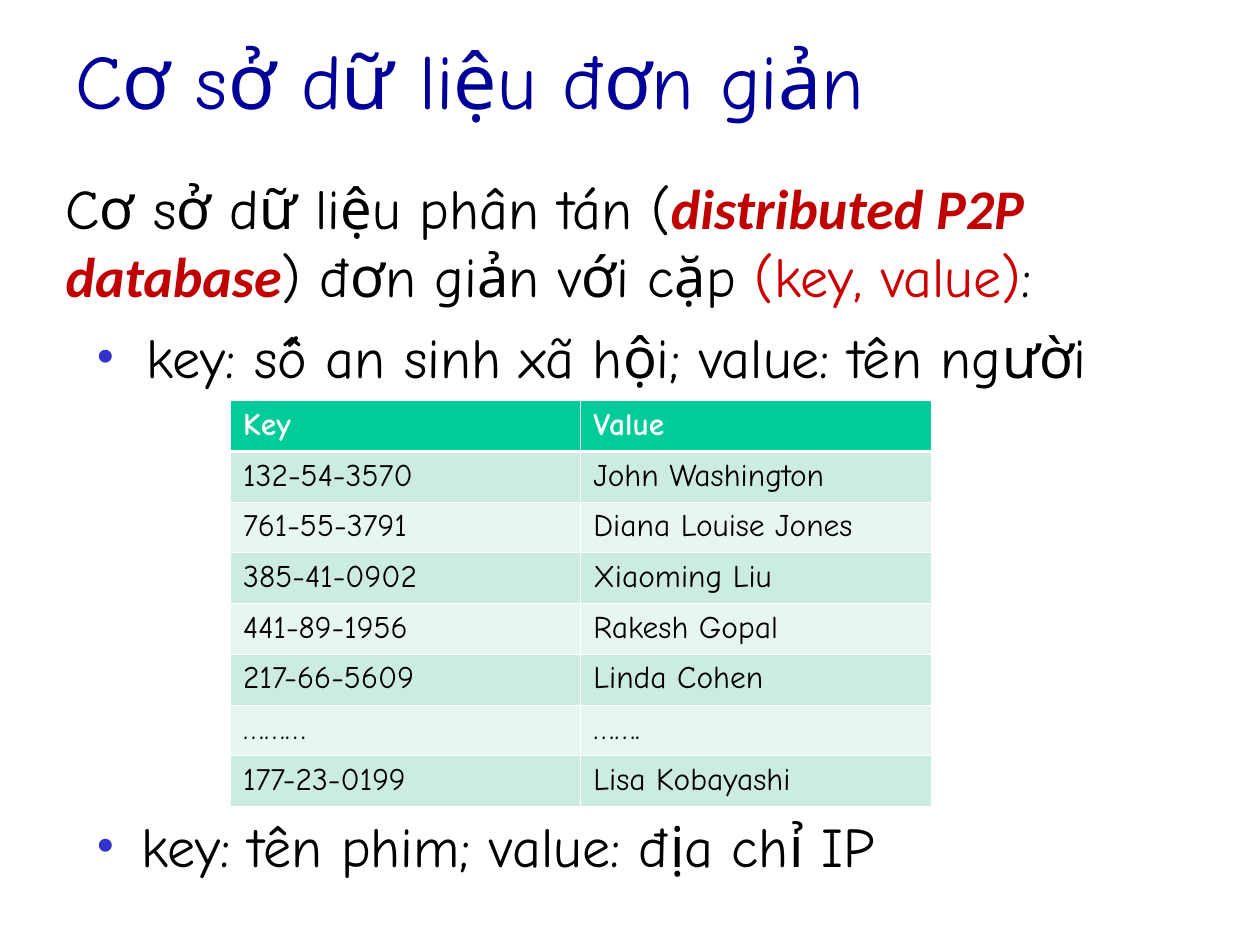
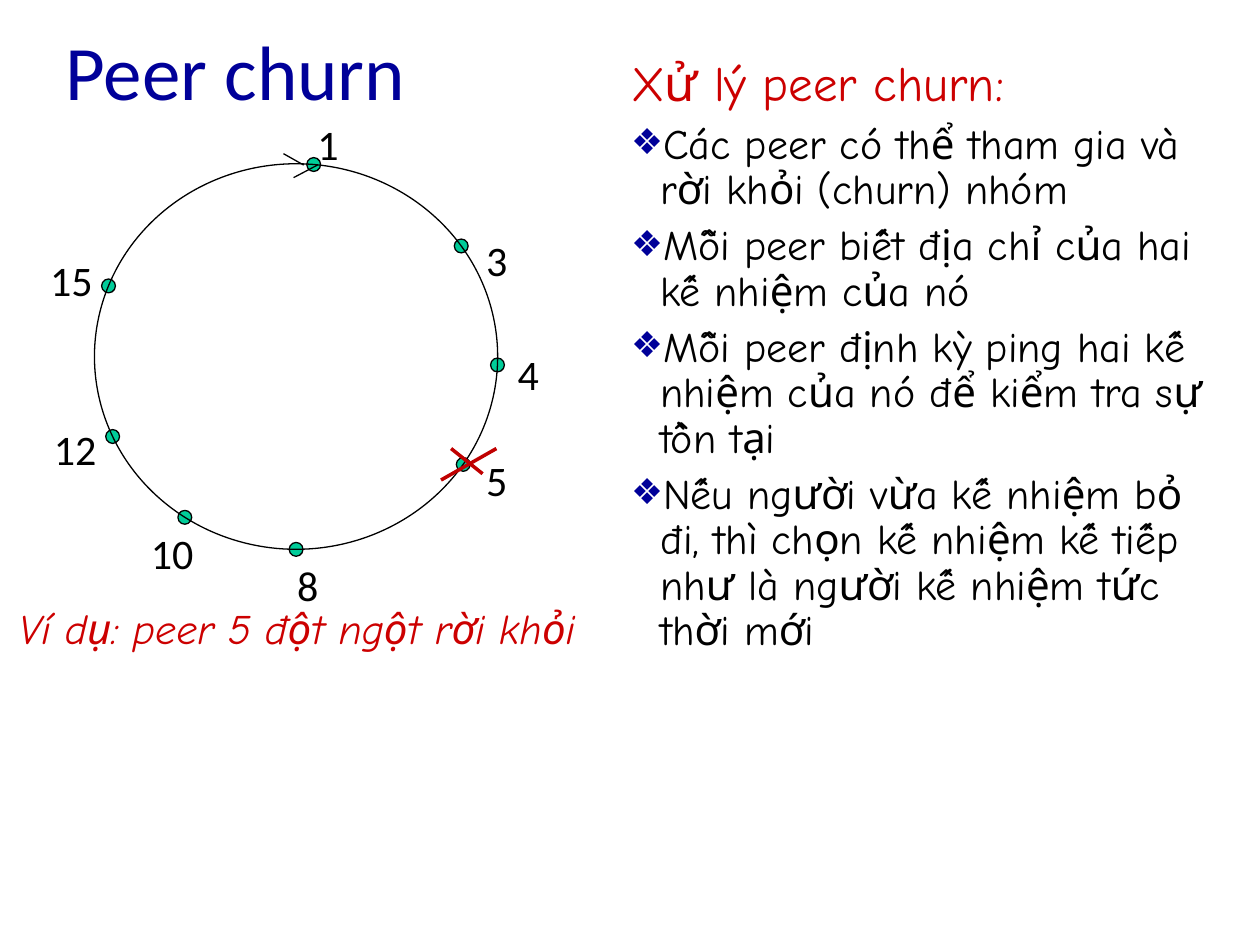
from math import cos, radians, sin

from lxml.etree import SubElement
from pptx import Presentation
from pptx.dml.color import RGBColor
from pptx.enum.shapes import MSO_CONNECTOR, MSO_SHAPE
from pptx.enum.text import MSO_ANCHOR, MSO_AUTO_SIZE, PP_ALIGN
from pptx.oxml.ns import qn
from pptx.util import Pt

COLORS = {
    "title": "000099",
    "text": "000000",
    "white": "FFFFFF",
    "accent": "CC0000",
    "cross": "C00000",
    "bullet": "3333CC",
    "green": "00CC99",
    "odd": "CBECDE",
    "even": "E7F6EF",
}
COLORS = {name: RGBColor.from_string(value) for name, value in COLORS.items()}
COMIC, PLAIN = "Comic Neue", "Calibri"

deck = Presentation()
deck.slide_width, deck.slide_height = Pt(720), Pt(540)
column, row = deck.slide_width / 100, deck.slide_height / 75


def place(shape, left, top, width, height, anchor=MSO_ANCHOR.TOP):
    shape.left, shape.top = round(left * column), round(top * row)
    shape.width, shape.height = round(width * column), round(height * row)
    frame = shape.text_frame
    frame.word_wrap, frame.auto_size = True, MSO_AUTO_SIZE.NONE
    frame.vertical_anchor = anchor
    return frame


def write(para, spans, size, bullet=None, bullet_color=None, margin=0, hang=0):
    properties = para._p.get_or_add_pPr()
    properties.set("marL", str(round(margin * column)))
    properties.set("indent", str(round(-hang * column)))
    if bullet:
        color = SubElement(properties, qn("a:buClr"))
        SubElement(color, qn("a:srgbClr"), val=str(COLORS[bullet_color]))
        SubElement(properties, qn("a:buSzPct"), val="85000")
        SubElement(properties, qn("a:buChar"), char=bullet)
    else:
        SubElement(properties, qn("a:buNone"))
    para.alignment = PP_ALIGN.LEFT
    para.space_before = Pt(0)
    for text, font, color in spans:
        span = para.add_run()
        span.text = text
        span.font.name, span.font.size = font, Pt(size)
        span.font.color.rgb = COLORS[color]


titles = [("Cơ sở dữ liệu đơn giản", COMIC, 5, 90, 12.5),
          ("Peer churn", PLAIN, 4.2, 43, 11.1)]
pages = []
for text, font, left, width, height in titles:
    page = deck.slides.add_slide(deck.slide_layouts[3])
    frame = place(page.shapes.title, left, 0, width, height, MSO_ANCHOR.MIDDLE)
    write(frame.paragraphs[0], [(text, font, "title")], 44)
    pages.append(page)
database, churn = pages

intro = place(database.placeholders[1], 4.2, 13.3, 92, 18)
write(intro.paragraphs[0], [
    ("Cơ sở dữ liệu phân tán (", COMIC, "text"),
    ("distributed P2P database", PLAIN, "cross"),
    (") đơn giản với cặp ", COMIC, "text"),
    ("(key, value)", COMIC, "accent"),
    (":", COMIC, "text"),
], 32)
term = intro.paragraphs[0].runs[1]
term.font.bold = term.font.italic = True
para = intro.add_paragraph()
write(para, [("key: số an sinh xã hội; value: tên người", COMIC, "text")],
      32, "•", "bullet", 6.4, 3.9)
para.space_before = Pt(8)

films = place(database.placeholders[2], 4.2, 63.9, 92, 8)
write(films.paragraphs[0], [("key: tên phim; value: địa chỉ IP", COMIC, "text")],
      32, "•", "bullet", 6, 3.5)

records = [
    ("Key", "Value"),
    ("132-54-3570", "John Washington"),
    ("761-55-3791", "Diana Louise Jones"),
    ("385-41-0902", "Xiaoming Liu"),
    ("441-89-1956", "Rakesh Gopal"),
    ("217-66-5609", "Linda Cohen"),
    ("………", "……."),
    ("177-23-0199", "Lisa Kobayashi"),
]
table = database.shapes.add_table(
    len(records), 2, round(18.3 * column), round(31.8 * row),
    round(55.6 * column), round(32.2 * row)).table
for index, record in enumerate(records):
    header = index == 0
    fill = "green" if header else "odd" if index % 2 else "even"
    for cell, text in zip(table.rows[index].cells, record):
        write(cell.text_frame.paragraphs[0],
              [(text, COMIC, "white" if header else "text")], 18)
        cell.text_frame.paragraphs[0].runs[0].font.bold = header
        properties = cell._tc.get_or_add_tcPr()
        for side in ("L", "R", "T", "B"):
            thick = (index, side) in ((0, "B"), (1, "T"))
            border = SubElement(properties, qn(f"a:ln{side}"),
                                w=str(Pt(1.47 if thick else 0.45)))
            solid = SubElement(border, qn("a:solidFill"))
            SubElement(solid, qn("a:srgbClr"), val=str(COLORS["white"]))
        cell.fill.solid()
        cell.fill.fore_color.rgb = COLORS[fill]

caption = place(churn.placeholders[1], 0.5, 47.8, 48, 6)
para = caption.paragraphs[0]
write(para, [("Ví dụ: peer 5 đột ngột rời khỏi", COMIC, "accent")], 24)
para.line_spacing = 0.9
para.runs[0].font.italic = True

center_x, center_y, radius_x, radius_y, dot = 23.5, 28.3, 16, 15.3, 1.1
peers = [
    ("1", -85, 24.2, 8.9),
    ("3", -35, 37.6, 18.1),
    ("4", 2.5, 40.1, 27.2),
    ("5", 34, 37.6, 35.6),
    ("8", 90, 22.6, 43.9),
    ("10", 123.5, 11, 41.4),
    ("12", 155.5, 3.3, 33.1),
    ("15", 201.5, 3, 19.7),
]
ovals = [(center_x + radius_x * cos(radians(angle)) - dot / 2,
          center_y + radius_y * sin(radians(angle)) - dot / 2, dot, dot)
         for _, angle, _, _ in peers]
ovals.append((center_x - radius_x, center_y - radius_y, 2 * radius_x, 2 * radius_y))
for left, top, width, height in ovals:
    oval = churn.shapes.add_shape(MSO_SHAPE.OVAL, 0, 0, 0, 0)
    place(oval, left, top, width, height)
    oval.shadow.inherit = False
    oval.line.color.rgb, oval.line.width = COLORS["text"], Pt(0.75)
    if width == dot:
        oval.fill.solid()
        oval.fill.fore_color.rgb = COLORS["green"]
    else:
        oval.fill.background()

for name, _, left, top in peers:
    label = churn.shapes.add_textbox(0, 0, 0, 0)
    frame = place(label, left, top, 2 + 1.7 * len(name), 5)
    frame.word_wrap = False
    write(frame.paragraphs[0], [(name, PLAIN, "text")], 24)

strokes = [
    (22.5, 12.2, 24.1, 13.1, "text", 0.75),
    (25.2, 13.1, 23.3, 14.1, "text", 0.75),
    (35.8, 35.6, 38.3, 37.6, "cross", 2),
    (39.4, 35.6, 35, 38.1, "cross", 2),
]
for start_x, start_y, end_x, end_y, color, weight in strokes:
    stroke = churn.shapes.add_connector(
        MSO_CONNECTOR.STRAIGHT, round(start_x * column), round(start_y * row),
        round(end_x * column), round(end_y * row))
    stroke.line.color.rgb, stroke.line.width = COLORS[color], Pt(weight)
    SubElement(stroke._element.spPr, qn("a:effectLst"))

handling = place(churn.placeholders[2], 49.1, 3.7, 48.4, 48.7)
write(handling.paragraphs[0], [("Xử lý peer churn:", COMIC, "accent")], 28)
for text in (
    "Các peer có thể tham gia và rời khỏi (churn) nhóm",
    "Mỗi peer biết địa chỉ của hai kế nhiệm của nó",
    "Mỗi peer định kỳ ping hai kế nhiệm của nó để kiểm tra sự tồn tại",
    "Nếu người vừa kế nhiệm bỏ đi, thì chọn kế nhiệm kế tiếp như là "
    "người kế nhiệm tức thời mới",
):
    para = handling.add_paragraph()
    write(para, [(text, COMIC, "text")], 24, "❖", "title", 2.3, 2.3)
    para.line_spacing, para.space_before = Pt(26), Pt(6)

deck.save("out.pptx")
